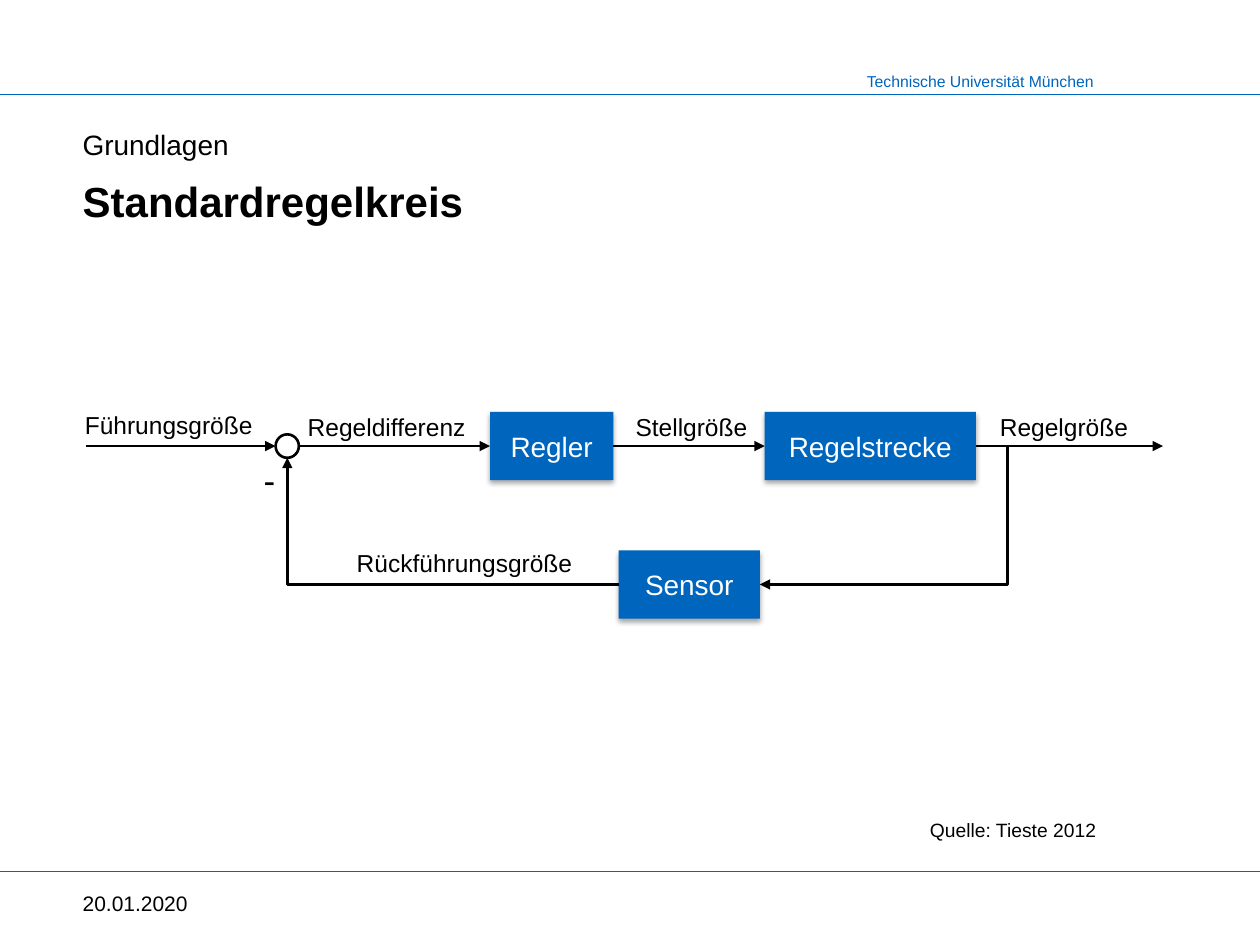
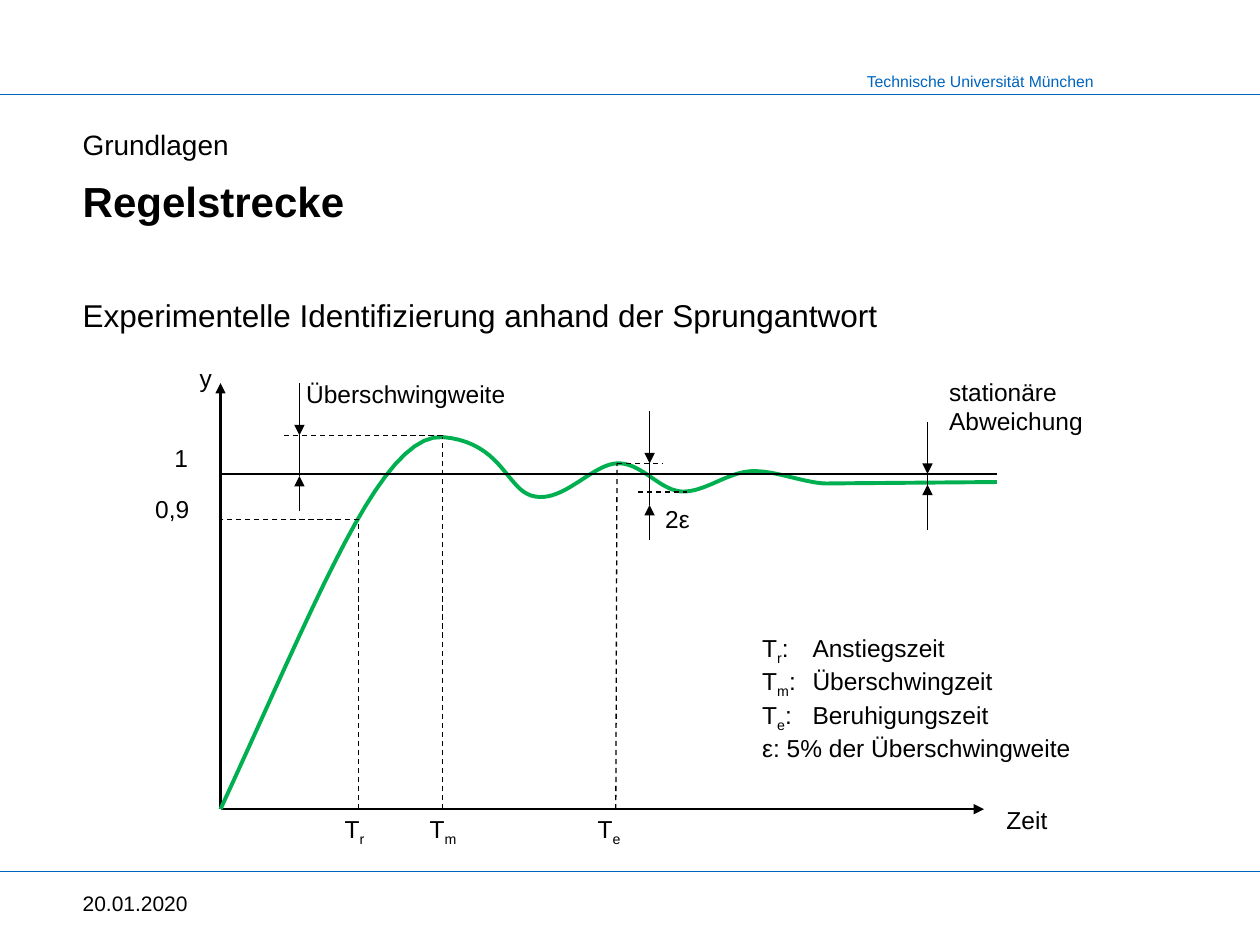
"""Build two slides on control loops: the block diagram and the step response."""
from lxml import etree
from pptx import Presentation
from pptx.dml.color import RGBColor
from pptx.enum import dml, shapes, text
from pptx.oxml import ns, parse_xml
from pptx.util import Pt

BLUE = RGBColor(0x00, 0x65, 0xBD)
GREEN = RGBColor(0x00, 0xB0, 0x50)
BLACK = RGBColor(0x00, 0x00, 0x00)
WHITE = RGBColor(0xFF, 0xFF, 0xFF)

LEFT, CENTER, RIGHT = text.PP_ALIGN.LEFT, text.PP_ALIGN.CENTER, text.PP_ALIGN.RIGHT
TOP, MIDDLE = text.MSO_ANCHOR.TOP, text.MSO_ANCHOR.MIDDLE
STRAIGHT, ELBOW = shapes.MSO_CONNECTOR.STRAIGHT, shapes.MSO_CONNECTOR.ELBOW

SHADOW = (
    f'<a:effectLst {ns.nsdecls("a")}><a:outerShdw blurRad="{Pt(3.1)}" dist="{Pt(1.8)}" '
    'dir="5400000" rotWithShape="0"><a:srgbClr val="000000"><a:alpha val="35000"/>'
    '</a:srgbClr></a:outerShdw></a:effectLst>'
)


def write(sp, content, size=14, align=LEFT, anchor=TOP, color=BLACK, bold=False, tab=None):
    """Fill a shape with lines of text; the letter after "_" is a subscript."""
    tf = sp.text_frame
    for key, value in {"word_wrap": True, "vertical_anchor": anchor}.items():
        setattr(tf, key, value)
    for i, row in enumerate(content.split("\n")):
        p = tf.paragraphs[0] if i == 0 else tf.add_paragraph()
        p.alignment = align
        if tab:
            tabs = etree.SubElement(p._p.get_or_add_pPr(), ns.qn("a:tabLst"))
            etree.SubElement(tabs, ns.qn("a:tab"), pos=str(Pt(tab)), algn="l")
        head, *parts = row.split("_")
        pieces = [(head, False)]
        for part in parts:
            pieces += [(part[0], True), (part[1:], False)]
        for piece, lowered in pieces:
            if not piece:
                continue
            r = p.add_run()
            r.text = piece
            for key, value in {"name": "Arial", "size": Pt(size), "bold": bold}.items():
                setattr(r.font, key, value)
            r.font.color.rgb = color
            if lowered:
                r.font._element.set("baseline", "-25000")


def line(s, x1, y1, x2, y2, width=0.75, color=BLACK, arrow=False, dash=False, kind=STRAIGHT):
    """Draw a connector, with an arrowhead at its end if asked."""
    c = s.shapes.add_connector(kind, Pt(x1), Pt(y1), Pt(x2), Pt(y2))
    c.line.width = Pt(width)
    c.line.color.rgb = color
    if dash:
        c.line.dash_style = dml.MSO_LINE.DASH
    if arrow:
        etree.SubElement(c.line._get_or_add_ln(), ns.qn("a:tailEnd"), type="triangle")
    etree.SubElement(c._element.spPr, ns.qn("a:effectLst"))
    return c


prs = Presentation()
prs.slide_width, prs.slide_height = Pt(720), Pt(540)

slides = []
for title in ("Standardregelkreis", "Regelstrecke"):
    s = prs.slides.add_slide(prs.slide_layouts[6])
    slides.append(s)
    for y in (54, 498):
        line(s, 0, y, 720, y, color=BLUE)
    for content, box, fmt in (
        ("Technische Universität München", (472, 37.4, 160, 18),
         {"size": 9, "align": RIGHT, "color": BLUE}),
        ("Grundlagen", (40.2, 69.5, 640, 27), {"size": 16}),
        (title, (40.2, 96.5, 640, 69), {"size": 24, "bold": True}),
        ("20.01.2020", (40.2, 504, 150, 24), {"size": 12, "anchor": MIDDLE}),
    ):
        write(s.shapes.add_textbox(*map(Pt, box)), content, **fmt)

loop, response = slides

FORWARD, FEEDBACK, BLOCK_H = 254.9, 334, 39
for name, x, y, w in (
    ("Regler", 280, FORWARD, 70.5),
    ("Regelstrecke", 437, FORWARD, 120.6),
    ("Sensor", 353.5, FEEDBACK, 80.7),
):
    sp = loop.shapes.add_shape(
        shapes.MSO_SHAPE.RECTANGLE, Pt(x), Pt(y - BLOCK_H / 2), Pt(w), Pt(BLOCK_H))
    sp.fill.solid()
    sp.fill.fore_color.rgb = BLUE
    sp.line.fill.background()
    sp._element.spPr.append(parse_xml(SHADOW))
    write(sp, name, size=16, align=CENTER, anchor=MIDDLE, color=WHITE)

for x1, x2 in ((49.2, 157.5), (171, 280), (350.5, 437), (557.6, 664.6)):
    line(loop, x1, FORWARD, x2, FORWARD, 1.5, arrow=True)

sp = loop.shapes.add_shape(
    shapes.MSO_SHAPE.OVAL, Pt(157.5), Pt(248.2), Pt(13.3), Pt(13.4))
sp.shadow.inherit = False
sp.fill.background()
sp.line.color.rgb = BLACK
sp.line.width = Pt(1.5)

c = line(loop, 353.5, FEEDBACK, 164.2, 261.6, 1.5, arrow=True, kind=ELBOW)
c._element.spPr.prstGeom.set("prst", "bentConnector2")
c = line(loop, 557.6, FORWARD, 434.2, FEEDBACK, 1.5, arrow=True, kind=ELBOW)
guides = c._element.spPr.prstGeom.get_or_add_avLst()
etree.SubElement(guides, ns.qn("a:gd"), name="adj1", fmla="val -14600")

for content, x, y, w, size, align in (
    ("Führungsgröße", 41.4, 230.6, 130, 14, LEFT),
    ("Regeldifferenz", 154.5, 231.8, 133, 14, CENTER),
    ("Stellgröße", 332, 231.8, 102.2, 14, RIGHT),
    ("Regelgröße", 537, 231.8, 142, 14, CENTER),
    ("Rückführungsgröße", 174, 309.6, 183, 14, CENTER),
    ("-", 143.3, 258.5, 21, 20, RIGHT),
    ("Quelle: Tieste 2012", 507.6, 464.2, 142.6, 11, CENTER),
):
    write(loop.shapes.add_textbox(Pt(x), Pt(y), Pt(w), Pt(24)), content, size, align)

sp = response.shapes.add_textbox(Pt(40.2), Pt(165.6), Pt(640), Pt(32))
write(sp, "Experimentelle Identifizierung anhand der Sprungantwort", size=18)

AXIS_X, AXIS_Y, SETPOINT, RIGHT_END = 126, 462.4, 270.8, 569.7
line(response, AXIS_X, AXIS_Y, AXIS_X, 218.9, 1.5, arrow=True)
line(response, AXIS_X, AXIS_Y, 562.3, AXIS_Y, 1.5, arrow=True)

here = (AXIS_X, AXIS_Y)
points = []
for bend in (
    ((181.4, 342.7), (217.4, 247.7), (252.9, 249.8)),
    ((288, 252.7), (289.4, 281.5), (306, 283.8)),
    ((322.6, 286.6), (338.4, 265.5), (352.6, 264.8)),
    ((366.5, 264.2), (376.6, 280.1), (389.5, 280.9)),
    ((402.5, 281.5), (415.4, 270), (429.3, 269.3)),
    ((443.5, 268.6), (461.5, 277), (474.5, 276.3)),
):
    for step in range(1, 21):
        t = step / 20
        weights = ((1 - t) ** 3, 3 * t * (1 - t) ** 2, 3 * t ** 2 * (1 - t), t ** 3)
        points.append(tuple(
            Pt(sum(k * v for k, v in zip(weights, axis))) for axis in zip(here, *bend)))
    here = bend[-1]
points.append((Pt(RIGHT_END), Pt(275.5)))
curve = response.shapes.build_freeform(Pt(AXIS_X), Pt(AXIS_Y))
curve.add_line_segments(points, close=False)
sp = curve.convert_to_shape()
sp.shadow.inherit = False
sp.fill.background()
sp.line.color.rgb = GREEN
sp.line.width = Pt(2.25)

line(response, AXIS_X, SETPOINT, RIGHT_END, SETPOINT, 1.5)

for x1, y1, x2, y2 in (
    (162.3, 248.7, 253, 248.7),
    (205, 296.7, AXIS_X, 296.7),
    (205, AXIS_Y, 205, 296.7),
    (252.9, AXIS_Y, 252.9, 249.5),
    (351.9, AXIS_Y, 352.6, 264.8),
    (352.6, 264.8, 379, 264.8),
    (364.7, 281.2, 392.6, 281.2),
):
    line(response, x1, y1, x2, y2, dash=True)

for x, start, upper, lower, end in (
    (171.1, 218.9, 248.7, 272, 292.1),
    (371.2, 235, 264.8, 288.6, 308.4),
    (530, 241.2, 270.8, 277, 302.6),
):
    line(response, x, upper, x, lower)
    line(response, x, start, x, upper, arrow=True)
    line(response, x, end, x, lower, arrow=True)

for content, x, y, w, align in (
    ("y", 82.8, 204, 45.4, RIGHT),
    ("1", 69.1, 249.8, 45.4, RIGHT),
    ("0,9", 71.3, 278.8, 44, RIGHT),
    ("Zeit", 525, 456.6, 80.6, RIGHT),
    ("Überschwingweite", 167.8, 213.1, 203, LEFT),
    ("2ε", 373, 284.6, 203, LEFT),
    ("stationäre\nAbweichung", 535.3, 211.6, 116, LEFT),
    ("T_r", 189.8, 461.6, 40, LEFT),
    ("T_m", 238.4, 461.6, 44, LEFT),
    ("T_e", 334.5, 461.6, 44, LEFT),
):
    write(response.shapes.add_textbox(Pt(x), Pt(y), Pt(w), Pt(24)), content, align=align)

sp = response.shapes.add_textbox(Pt(428.4), Pt(358), Pt(222.5), Pt(75))
write(sp, "T_r:\tAnstiegszeit\nT_m:\tÜberschwingzeit\nT_e:\tBeruhigungszeit\n"
      "ε: 5% der Überschwingweite", tab=28.8)

prs.save("out.pptx")
